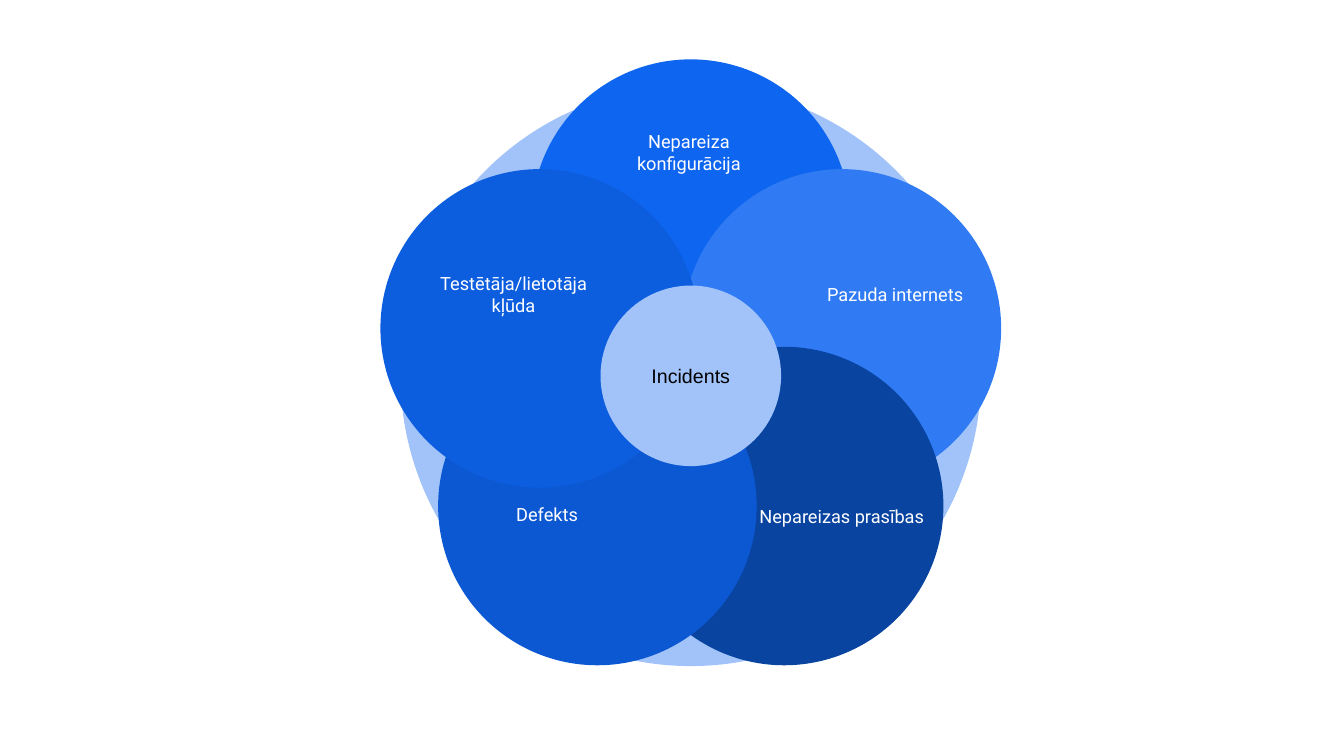
from math import cos, radians, sin

from pptx import Presentation
from pptx.dml.color import RGBColor
from pptx.enum.shapes import MSO_SHAPE as Shape
from pptx.enum.text import MSO_ANCHOR as Anchor, PP_ALIGN as Align
from pptx.util import Pt

COLORS = {
    "background": "FFFFFF",
    "pale": "A1C3FA",
    "light_text": "FFFFFF",
    "dark_text": "000000",
    "top": "0E65F0",
    "right": "307BF3",
    "lower_right": "0944A1",
    "lower_left": "0C58D3",
    "left": "0D5DDF",
}

# Clockwise from the top: label, colour, label offset from the petal centre
CAUSES = [
    ("Nepareiza konfigurācija", "top", (-1.4, -47.5)),
    ("Pazuda internets", "right", (38, -24.5)),
    ("Nepareizas prasības", "lower_right", (41, 7.2)),
    ("Defekts", "lower_left", (-36, 5.8)),
    ("Testētāja/lietotāja kļūda", "left", (-18.7, -24.5)),
]

RING_SIZE = 414.7
PETAL_SIZE = 227.5
CORE_SIZE = 129
ORBIT = 113.5
PETAL_DROP = 1.2
LABEL_WIDTH, LABEL_HEIGHT = 139.7, 69.1
INSET = 9.2


def color(name):
    return RGBColor.from_string(COLORS[name])


def write_text(box, text, *, size, font, ink):
    frame = box.text_frame
    frame.word_wrap = True
    frame.vertical_anchor = Anchor.MIDDLE
    frame.margin_left = frame.margin_right = Pt(INSET)
    frame.margin_top = frame.margin_bottom = Pt(INSET)
    para = frame.paragraphs[0]
    para.alignment = Align.CENTER
    span = para.add_run()
    span.text = text
    span.font.size = Pt(size)
    span.font.name = font
    span.font.color.rgb = color(ink)


def add_circle(shapes, center_x, center_y, size, fill):
    circle = shapes.add_shape(
        Shape.OVAL, Pt(center_x - size / 2), Pt(center_y - size / 2), Pt(size), Pt(size))
    circle.shadow.inherit = False
    circle.fill.solid()
    circle.fill.fore_color.rgb = color(fill)
    circle.line.fill.background()
    return circle


def add_petal(page, center_x, center_y, text, fill, offset):
    group = page.shapes.add_group_shape()
    add_circle(group.shapes, center_x, center_y, PETAL_SIZE, fill)
    label = group.shapes.add_textbox(
        Pt(center_x + offset[0] - LABEL_WIDTH / 2),
        Pt(center_y + offset[1] - LABEL_HEIGHT / 2),
        Pt(LABEL_WIDTH), Pt(LABEL_HEIGHT))
    write_text(label, text, size=13, font="Roboto", ink="light_text")


def add_flower(page, left, top, size):
    center_x, center_y = left + size / 2, top + size / 2

    # Ring behind the petals
    add_circle(page.shapes, center_x, center_y, size, "pale")

    # Petals at equal angles around the centre
    for index, (text, fill, offset) in enumerate(CAUSES):
        angle = radians(360 / len(CAUSES) * index - 90)
        add_petal(page, center_x + ORBIT * cos(angle),
                  center_y + PETAL_DROP + ORBIT * sin(angle), text, fill, offset)

    # Core with the shared outcome
    core = add_circle(page.shapes, center_x, center_y, CORE_SIZE, "pale")
    write_text(core, "Incidents", size=14, font="Arial", ink="dark_text")


def main():
    deck = Presentation()
    deck.slide_width, deck.slide_height = Pt(960), Pt(540)
    page = deck.slides.add_slide(deck.slide_layouts[6])
    page.background.fill.solid()
    page.background.fill.fore_color.rgb = color("background")
    add_flower(page, 286.1, 61.1, RING_SIZE)
    deck.save("out.pptx")


if __name__ == "__main__":
    main()
